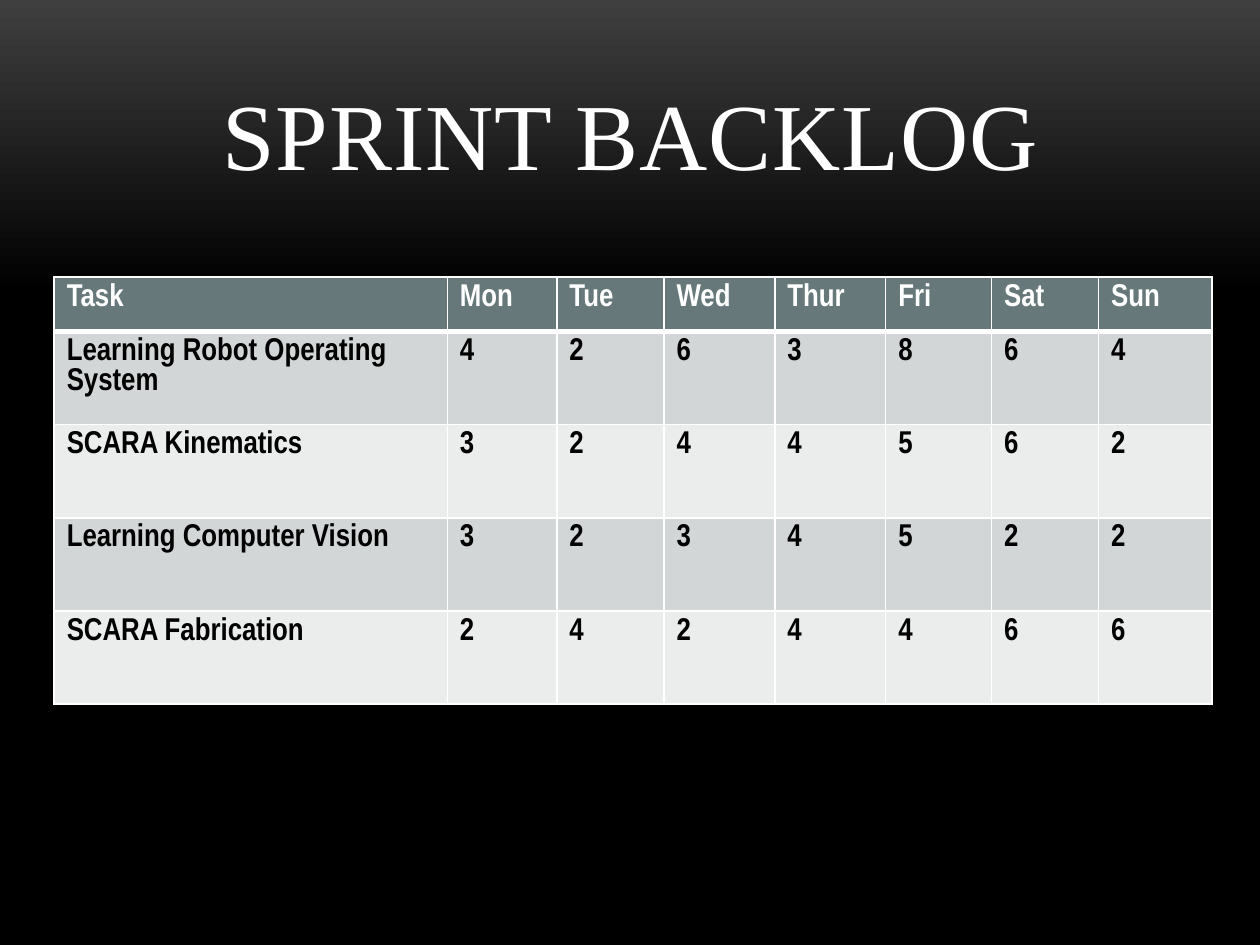
from dataclasses import dataclass

import pptx
import pptx.dml.color
import pptx.enum.text
import pptx.oxml
import pptx.oxml.ns
import pptx.util
from pptx.util import Inches

WHITE, BLACK = "FFFFFF", "000000"
HEADER_FILL = "67787B"
BAND_FILLS = ("D3D6D7", "EBECEC")
THIN, THICK = 1, 3

DAYS = ("Mon", "Tue", "Wed", "Thur", "Fri", "Sat", "Sun")
COLUMN_WIDTHS = (3.12, 0.87, 0.85, 0.88, 0.88, 0.84, 0.85, 0.9)
HEADER_HEIGHT, TASK_HEIGHT = 0.43, 0.74


@dataclass(frozen=True)
class Task:
    name: str
    hours: tuple[int, ...]


TASKS = (
    Task("Learning Robot Operating System", (4, 2, 6, 3, 8, 6, 4)),
    Task("SCARA Kinematics", (3, 2, 4, 4, 5, 6, 2)),
    Task("Learning Computer Vision", (3, 2, 3, 4, 5, 2, 2)),
    Task("SCARA Fabrication", (2, 4, 2, 4, 4, 6, 6)),
)


@dataclass(frozen=True)
class RowStyle:
    fill: str
    text: str
    top: float = THIN
    bottom: float = THIN


def color(value: str) -> pptx.dml.color.RGBColor:
    return pptx.dml.color.RGBColor.from_string(value)


def format_run(run, font_color: str, **values) -> None:
    for name, value in values.items():
        setattr(run.font, name, value)
    run.font.color.rgb = color(font_color)


def draw_background(slide) -> None:
    fill = slide.background.fill
    fill.gradient()
    fill.gradient_angle = 270
    for stop, (position, value) in zip(fill.gradient_stops, ((0, "3F3F3F"), (0.31, BLACK))):
        stop.position = position
        stop.color.rgb = color(value)


def draw_title(slide, text: str) -> None:
    title = slide.shapes.title
    box = {"left": 0.67, "top": 0.3, "width": 8.67, "height": 1.25}
    for name, value in box.items():
        setattr(title, name, Inches(value))
    frame = title.text_frame
    frame.vertical_anchor = pptx.enum.text.MSO_ANCHOR.BOTTOM
    frame.auto_size = pptx.enum.text.MSO_AUTO_SIZE.NONE
    paragraph = frame.paragraphs[0]
    paragraph.alignment = pptx.enum.text.PP_ALIGN.CENTER
    run = paragraph.add_run()
    run.text = text
    format_run(run, WHITE, name="Times New Roman", size=pptx.util.Pt(54))
    run.font._element.set("spc", "50")


def set_borders(cell, style: RowStyle) -> None:
    properties = cell._tc.get_or_add_tcPr()
    sides = {"L": THIN, "R": THIN, "T": style.top, "B": style.bottom}
    for side, points in sides.items():
        properties.append(pptx.oxml.parse_xml(
            f'<a:ln{side} {pptx.oxml.ns.nsdecls("a")} w="{pptx.util.Pt(points)}">'
            f'<a:solidFill><a:srgbClr val="{WHITE}"/></a:solidFill></a:ln{side}>'
        ))


def fill_row(row, texts: tuple, style: RowStyle) -> None:
    for cell, text in zip(row.cells, texts):
        set_borders(cell, style)
        cell.fill.solid()
        cell.fill.fore_color.rgb = color(style.fill)
        run = cell.text_frame.paragraphs[0].add_run()
        run.text = str(text)
        format_run(run, style.text, name="Arial Narrow", size=pptx.util.Pt(18), bold=True)


def draw_backlog(slide) -> None:
    heights = [HEADER_HEIGHT] + [TASK_HEIGHT] * len(TASKS)
    table = slide.shapes.add_table(
        len(heights), len(COLUMN_WIDTHS), Inches(0.43), Inches(2.2),
        Inches(sum(COLUMN_WIDTHS)), Inches(sum(heights)),
    ).table
    for column, width in zip(table.columns, COLUMN_WIDTHS):
        column.width = Inches(width)
    for row, height in zip(table.rows, heights):
        row.height = Inches(height)

    # Header row, then tasks in alternating bands
    fill_row(table.rows[0], ("Task", *DAYS), RowStyle(HEADER_FILL, WHITE, bottom=THICK))
    for index, task in enumerate(TASKS):
        top = THICK if index == 0 else THIN
        style = RowStyle(BAND_FILLS[index % 2], BLACK, top=top)
        fill_row(table.rows[index + 1], (task.name, *task.hours), style)


def main() -> None:
    presentation = pptx.Presentation()
    presentation.slide_width = Inches(10)
    presentation.slide_height = Inches(7.5)
    title_only = presentation.slide_layouts[5]
    slide = presentation.slides.add_slide(title_only)
    draw_background(slide)
    draw_title(slide, "SPRINT BACKLOG")
    draw_backlog(slide)
    presentation.save("out.pptx")


if __name__ == "__main__":
    main()
